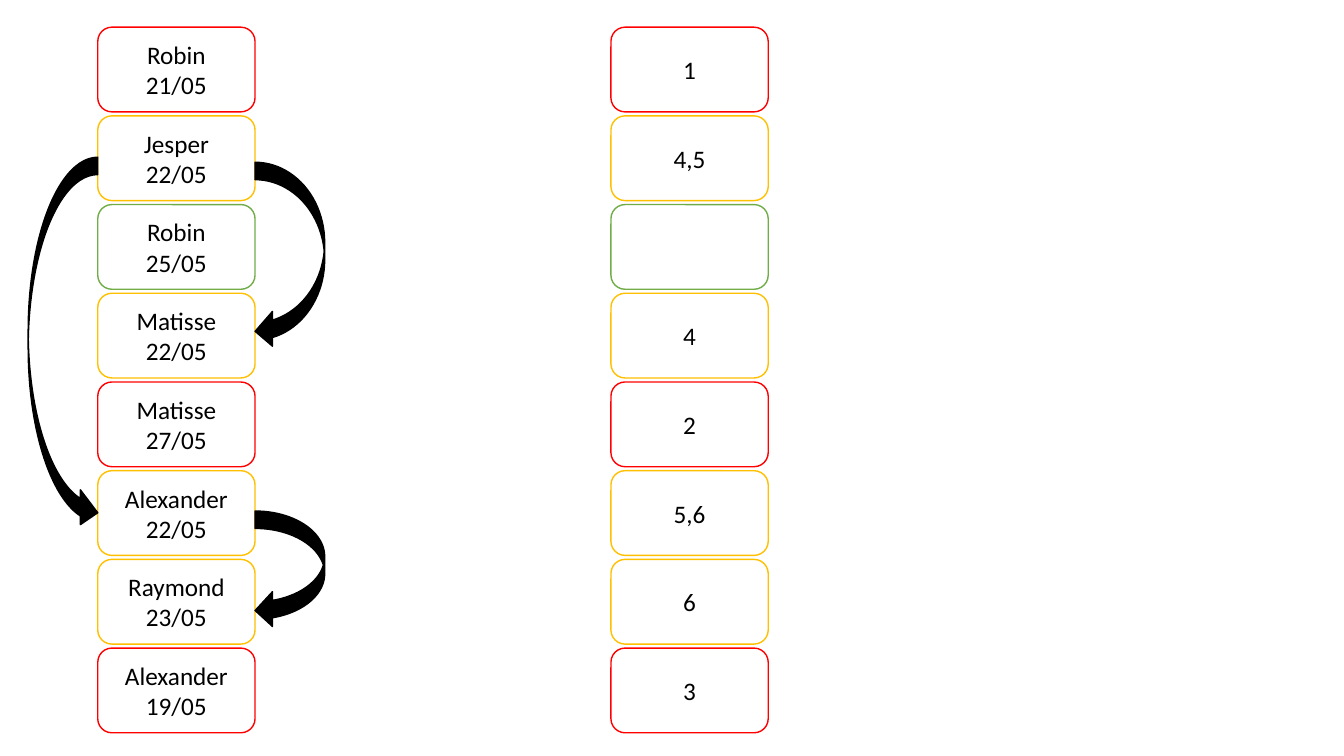
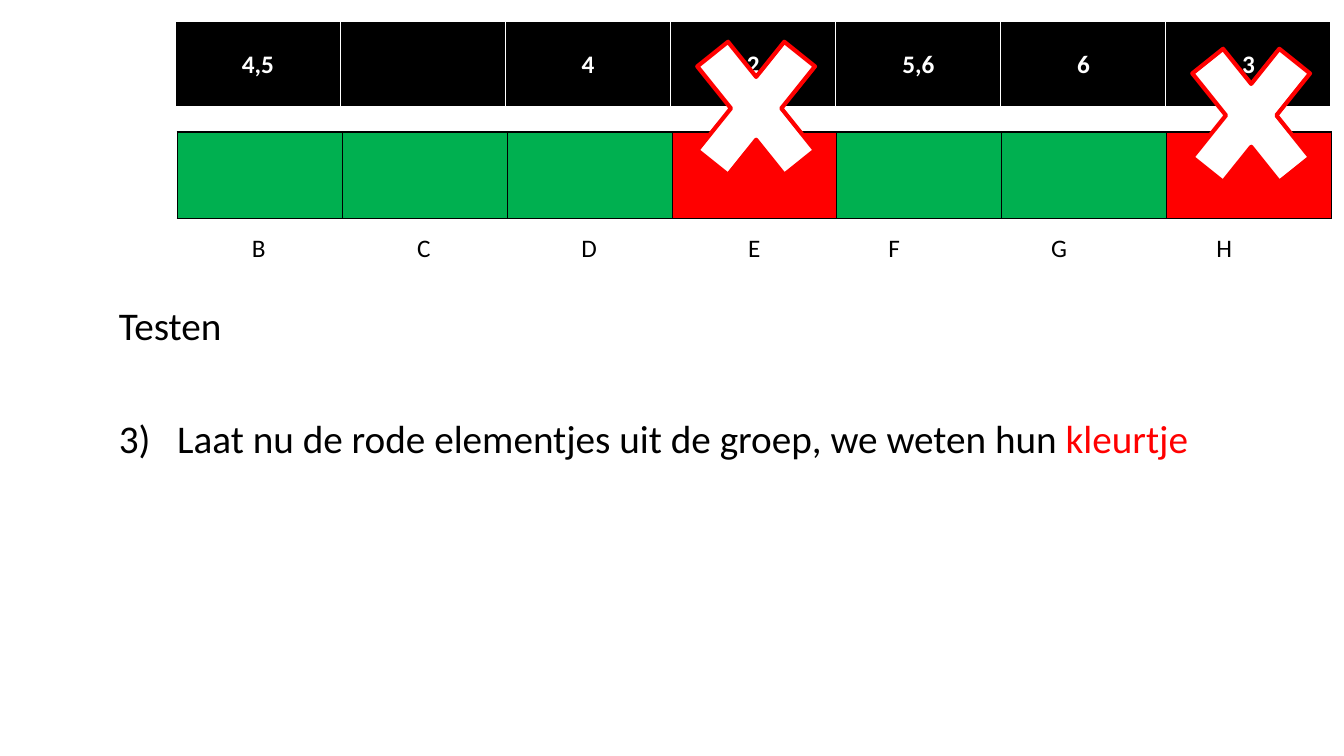
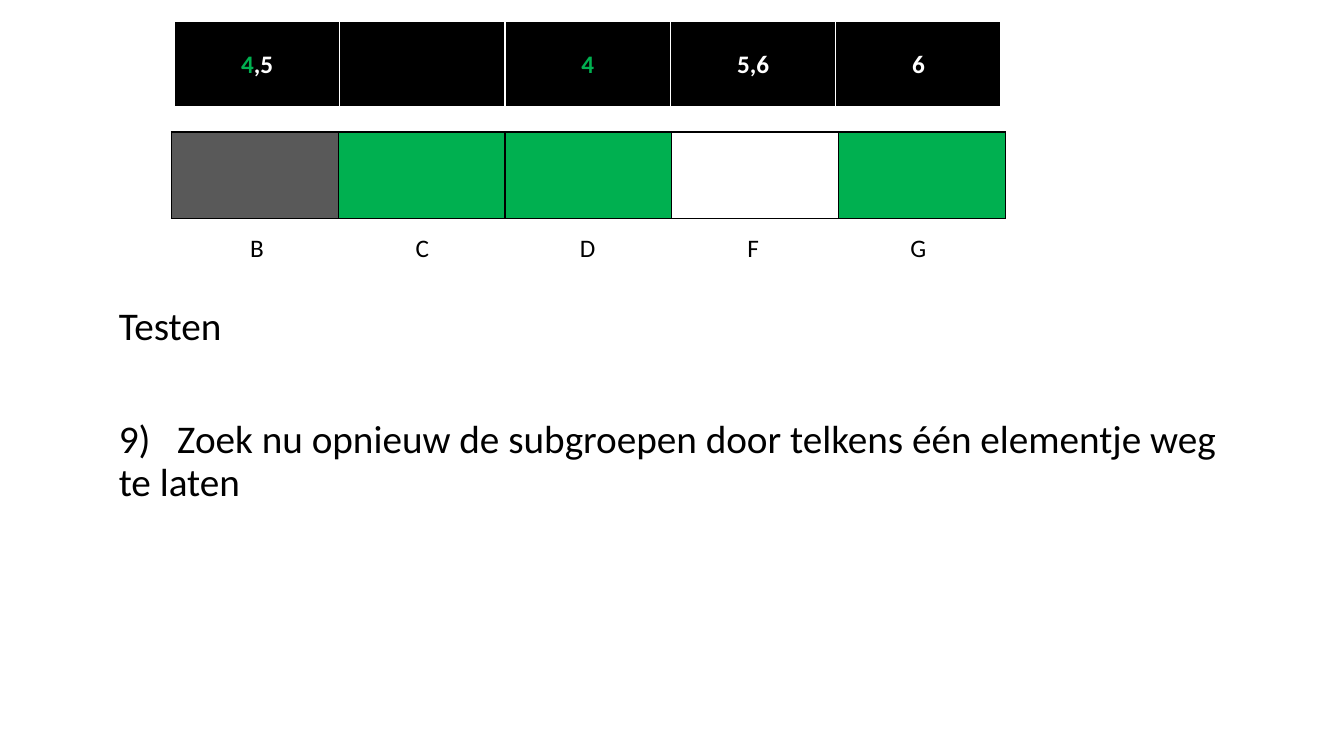
from lxml.etree import SubElement
from pptx import Presentation
from pptx.dml.color import RGBColor
from pptx.enum.shapes import MSO_SHAPE
from pptx.enum.text import MSO_ANCHOR, PP_ALIGN
from pptx.oxml.ns import qn
from pptx.util import Inches, Pt

BLACK = RGBColor(0x00, 0x00, 0x00)
WHITE = RGBColor(0xFF, 0xFF, 0xFF)
RED = RGBColor(0xFF, 0x00, 0x00)
AMBER = RGBColor(0xFF, 0xC0, 0x00)
LEAF = RGBColor(0x70, 0xAD, 0x47)
GREEN = RGBColor(0x00, 0xB0, 0x50)
GREY = RGBColor(0x59, 0x59, 0x59)
FONT = "Calibri"

PEOPLE = [
    ("Robin", "21/05", "1", RED),
    ("Jesper", "22/05", "4,5", AMBER),
    ("Robin", "25/05", "", LEAF),
    ("Matisse", "22/05", "4", AMBER),
    ("Matisse", "27/05", "2", RED),
    ("Alexander", "22/05", "5,6", AMBER),
    ("Raymond", "23/05", "6", AMBER),
    ("Alexander", "19/05", "3", RED),
]
ARROWS = [
    (2.53, 1.61, 1.85, False),
    (2.53, 5.07, 1.16, False),
    (0.28, 1.56, 3.7, True),
]

GROUP_SLIDES = [
    {
        "labels": [(0.11, 8.19, [None, "B", "C", "D", "E"]), (8.05, 4.91, ["F", "G", "H"])],
        "numbers": [
            (0.1, 8.19, [None, "4,5", "", "4", "2"]),
            (8.29, 4.91, ["5,6", "6", "3"]),
        ],
        "colours": [
            (0.12, 8.19, [None, GREEN, GREEN, GREEN, RED]),
            (8.3, 4.91, [GREEN, GREEN, RED]),
        ],
        "crosses": [(6.67, 0.04), (11.58, 0.11)],
        "step": [
            ("3)\tLaat nu de rode elementjes uit de groep, we weten hun ", BLACK),
            ("kleurtje", RED),
        ],
    },
    {
        "labels": [(1.73, 8.2, ["B", "C", "D", "F", "G"])],
        "numbers": [
            (1.73, 8.2, [[("4", GREEN), (",5", WHITE)], "", [("4", GREEN)], "5,6", "6"]),
        ],
        "colours": [
            (1.74, 8.18, [GREY, WHITE, WHITE, WHITE, WHITE]),
            (1.7, 8.27, [GREY, GREEN, GREEN, WHITE, GREEN]),
        ],
        "crosses": [],
        "step": [
            ("9)\tZoek nu opnieuw de subgroepen door telkens één elementje weg\vte laten", BLACK),
        ],
    },
]
ROW_HEIGHT = 0.86
BANDS = {
    "labels": {"top": 2.04, "text": BLACK, "fill": None, "border": None, "bottom": 1},
    "numbers": {"top": 0.21, "text": WHITE, "fill": BLACK, "border": WHITE, "bottom": 3},
    "colours": {"top": 1.31, "text": BLACK, "fill": None, "border": BLACK, "bottom": 1},
}


def add_runs(p, runs, size, bold=False):
    for text, color in runs:
        for i, part in enumerate(text.split("\v")):
            if i:
                p.add_line_break()
            r = p.add_run()
            r.text = part
            r.font.name = FONT
            r.font.size = Pt(size)
            r.font.bold = bold
            r.font.color.rgb = color


def add_shape(s, kind, box, fill, line, width=1):
    sp = s.shapes.add_shape(kind, *(Inches(v) for v in box))
    sp.shadow.inherit = False
    sp.fill.solid()
    sp.fill.fore_color.rgb = fill
    sp.line.color.rgb = line
    sp.line.width = Pt(width)
    return sp


def add_card(s, left, top, lines, line_color):
    sp = add_shape(s, MSO_SHAPE.ROUNDED_RECTANGLE, (left, top, 1.56, 0.84), WHITE, line_color)
    tf = sp.text_frame
    tf.vertical_anchor = MSO_ANCHOR.MIDDLE
    for i, text in enumerate(lines):
        p = tf.add_paragraph() if i else tf.paragraphs[0]
        p.alignment = PP_ALIGN.CENTER
        if text:
            add_runs(p, [(text, BLACK)], 18)


def set_borders(cell, color, bottom, sides):
    tc_pr = cell._tc.get_or_add_tcPr()
    for side in "LRTB":
        width = bottom if side == "B" else 1
        ln = SubElement(tc_pr, qn(f"a:ln{side}"), w=str(int(Pt(width))))
        if color is None or side not in sides:
            SubElement(ln, qn("a:noFill"))
        else:
            SubElement(SubElement(ln, qn("a:solidFill")), qn("a:srgbClr"), val=str(color))


def set_fill(cell, color):
    if color is None:
        cell.fill.background()
    else:
        cell.fill.solid()
        cell.fill.fore_color.rgb = color


def add_band(s, kind, left, width, cells):
    band = BANDS[kind]
    frame = s.shapes.add_table(
        1, len(cells), Inches(left), Inches(band["top"]), Inches(width), Inches(ROW_HEIGHT))
    table = frame.table
    table.first_row = table.horz_banding = False
    for i, content in enumerate(cells):
        table.columns[i].width = Inches(width / len(cells))
        cell = table.cell(0, i)
        cell.vertical_anchor = MSO_ANCHOR.MIDDLE
        set_borders(cell, band["border"], band["bottom"], "R" if content is None else "LRTB")
        if content is None:
            set_fill(cell, None if kind == "labels" else WHITE)
        elif kind == "colours":
            set_fill(cell, content)
        else:
            set_fill(cell, band["fill"])
            if content:
                runs = [(content, band["text"])] if isinstance(content, str) else content
                p = cell.text_frame.paragraphs[0]
                p.alignment = PP_ALIGN.CENTER
                add_runs(p, runs, 18, kind == "numbers")


def add_step(s, runs):
    tf = s.shapes.add_textbox(Inches(1.08), Inches(2.99), Inches(11.5), Inches(4.76)).text_frame
    tf.word_wrap = True
    heading, step = tf.paragraphs[0], tf.add_paragraph()
    for p, space, content in ((heading, 10, [("Testen", BLACK)]), (step, 51, runs)):
        p.line_spacing = 0.9
        p.space_before = Pt(space)
        add_runs(p, content, 28)
    tabs = SubElement(step._p.get_or_add_pPr(), qn("a:tabLst"))
    SubElement(tabs, qn("a:tab"), pos=str(Inches(0.58)), algn="l")


def build_people(s):
    for i, (name, date, number, color) in enumerate(PEOPLE):
        top = 0.27 + 0.88 * i
        add_card(s, 0.97, top, [name, date], color)
        add_card(s, 6.06, top, [number], color)
    for left, top, height, flipped in ARROWS:
        sp = add_shape(s, MSO_SHAPE.CURVED_LEFT_ARROW, (left, top, 0.69, height), BLACK, BLACK)
        if flipped:
            sp._element.spPr.find(qn("a:xfrm")).set("flipH", "1")


def build_group(s, group):
    for kind in BANDS:
        for left, width, cells in group[kind]:
            add_band(s, kind, left, width, cells)
    for left, top in group["crosses"]:
        add_shape(s, MSO_SHAPE.MATH_MULTIPLY, (left, top, 1.66, 2.07), WHITE, RED, 3)
    add_step(s, group["step"])


def main():
    prs = Presentation()
    prs.slide_width, prs.slide_height = Inches(13.33), Inches(7.5)
    blank = prs.slide_layouts[6]
    build_people(prs.slides.add_slide(blank))
    for group in GROUP_SLIDES:
        build_group(prs.slides.add_slide(blank), group)
    prs.save("out.pptx")


if __name__ == "__main__":
    main()
